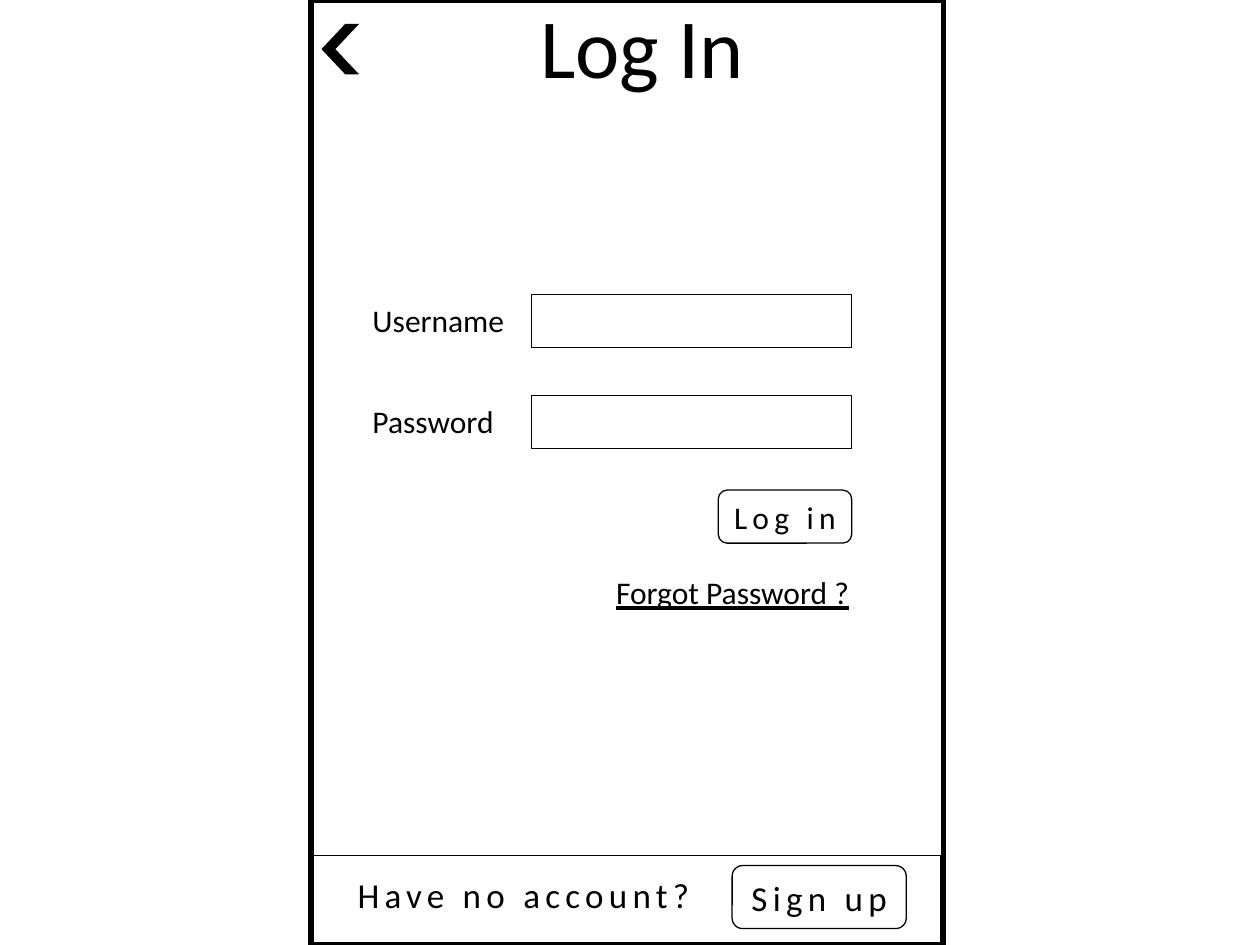
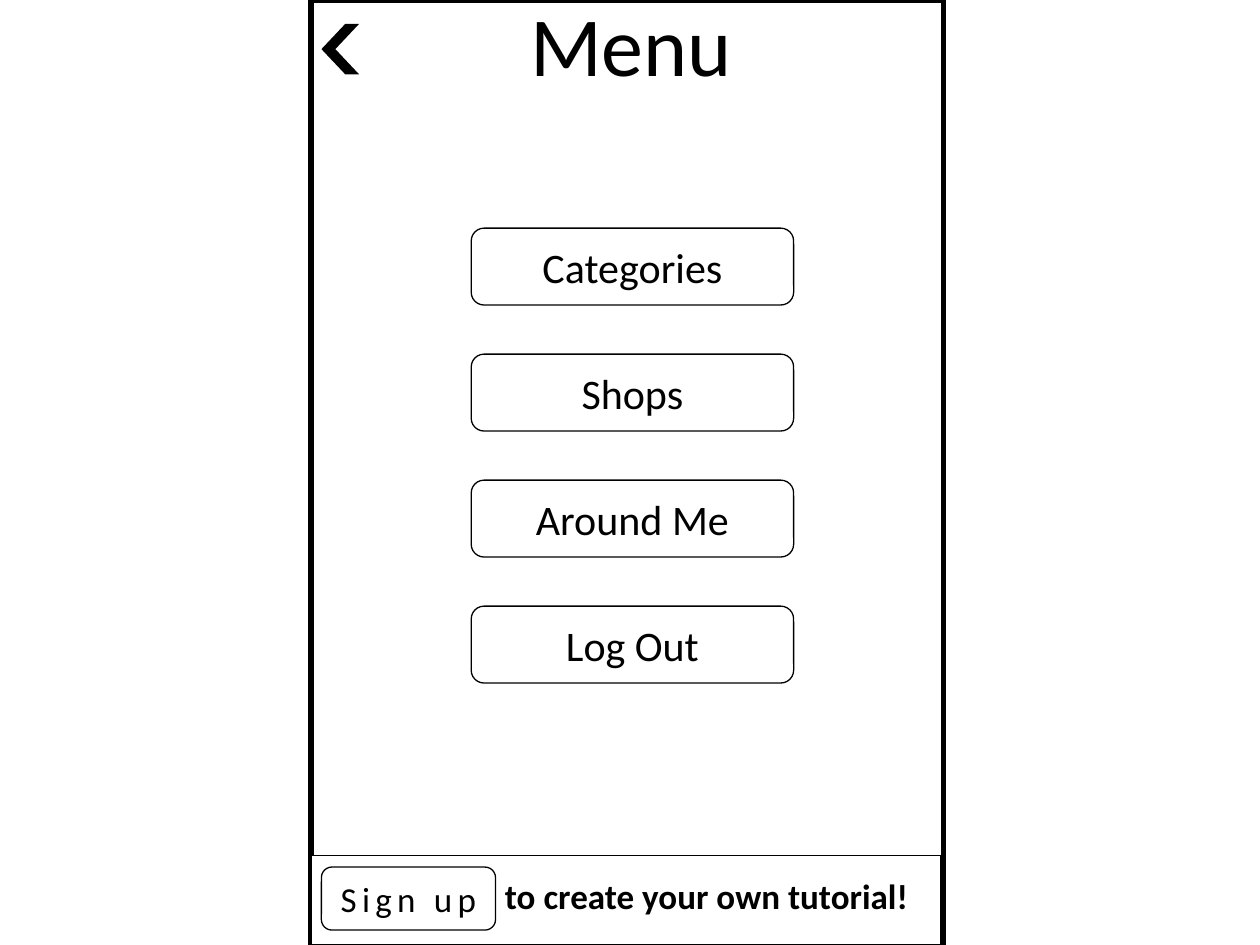
"""Build the log in and menu screens of a mobile app mock-up."""
from pptx import Presentation
from pptx.dml.color import RGBColor
from pptx.enum.shapes import MSO_SHAPE
from pptx.enum.text import MSO_ANCHOR, PP_ALIGN
from pptx.util import Cm, Pt

COLORS = {"ink": "000000", "paper": "FFFFFF"}
FONT = "Calibri"
THIN, THICK = 0.75, 3
FRAME = (6.27, 0, 12.75, 19.05)
FOOTER = (6.27, 17.25, 12.7, 1.8)
BACK_ARROW = (6.48, 0.48, 0.76, 1.02)


def write(shape, text, size, spacing=0, bold=False, underline=False):
    shape.text_frame.word_wrap = True
    run = shape.text_frame.paragraphs[0].add_run()
    run.text = text
    font = run.font
    font.name = FONT
    font.size = Pt(size)
    font.bold = bold
    font.underline = underline
    font.color.rgb = RGBColor.from_string(COLORS["ink"])
    if spacing:
        run._r.get_or_add_rPr().set("spc", str(spacing * 100))


def draw(slide, kind, box, fill=None, line=THIN):
    shape = slide.shapes.add_shape(kind, *map(Cm, box))
    shape.shadow.inherit = False
    if fill:
        shape.fill.solid()
        shape.fill.fore_color.rgb = RGBColor.from_string(COLORS[fill])
    else:
        shape.fill.background()
    if line:
        shape.line.color.rgb = RGBColor.from_string(COLORS["ink"])
        shape.line.width = Pt(line)
    else:
        shape.line.fill.background()
    shape.text_frame.vertical_anchor = MSO_ANCHOR.MIDDLE
    shape.text_frame.paragraphs[0].alignment = PP_ALIGN.CENTER
    return shape


presentation = Presentation()
presentation.slide_width = Cm(25.4)
presentation.slide_height = Cm(19.05)

screens = [
    {
        "fill": None,
        "fields": [("Username", 5.94), ("Password", 7.98)],
        "buttons": [
            ("Log in", (14.48, 9.88, 2.69, 1.07), 18, 3),
            ("Sign up", (14.76, 17.45, 3.51, 1.27), 20, 3),
        ],
        "labels": [
            ("Log In", (10.64, -0.23, 5.18, 2.31), 48, {}),
            ("Forgot Password ?", (12.17, 11.43, 5.77, 1.02), 18, {"underline": True}),
            ("Have no account?", (6.96, 17.48, 7.52, 1.12), 20, {"spacing": 3}),
        ],
    },
    {
        "fill": "paper",
        "fields": [],
        "buttons": [
            (name, (9.5, 4.6 + 2.54 * row, 6.5, 1.55), 24, 0)
            for row, name in enumerate(["Categories", "Shops", "Around Me", "Log Out"])
        ] + [("Sign up", (6.48, 17.48, 3.51, 1.27), 20, 3)],
        "labels": [
            ("Menu", (10.44, -0.28, 5.54, 2.31), 48, {}),
            ("to create your own tutorial!", (9.93, 17.5, 10.21, 1.12), 20, {"bold": True}),
        ],
    },
]

for screen in screens:
    slide = presentation.slides.add_slide(presentation.slide_layouts[6])
    draw(slide, MSO_SHAPE.RECTANGLE, FRAME, "paper", THICK)
    draw(slide, MSO_SHAPE.RECTANGLE, FOOTER, screen["fill"])
    back_arrow = draw(slide, MSO_SHAPE.CHEVRON, BACK_ARROW, "ink", None)
    back_arrow.adjustments[0] = 0.632
    back_arrow.rotation = 180

    for name, top in screen["fields"]:
        draw(slide, MSO_SHAPE.RECTANGLE, (10.72, top, 6.45, 1.07), "paper")
        label = slide.shapes.add_textbox(Cm(7.26), Cm(top), Cm(3.38), Cm(1.02))
        write(label, name, 18)

    for text, box, size, style in screen["labels"]:
        label = slide.shapes.add_textbox(*map(Cm, box))
        write(label, text, size, **style)

    for text, box, size, spacing in screen["buttons"]:
        button = draw(slide, MSO_SHAPE.ROUNDED_RECTANGLE, box, screen["fill"])
        write(button, text, size, spacing)
        button.text_frame.word_wrap = False

presentation.save("out.pptx")
